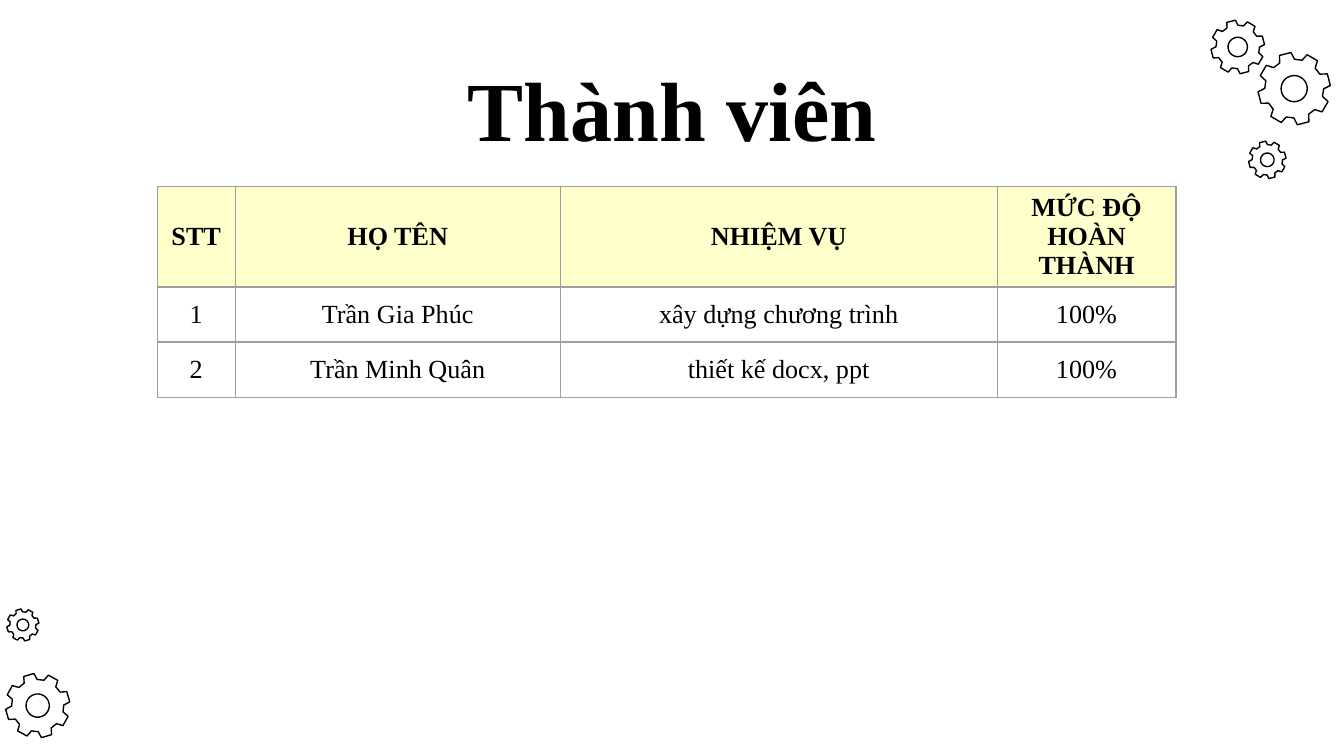
"""Build the team members slide: a title, a task table and gear outlines in two corners."""
from math import cos, radians, sin

from lxml import etree
from pptx import Presentation
from pptx import util as u
from pptx.dml.color import RGBColor
from pptx.enum import text
from pptx.oxml.ns import qn

WIDTH = 10
HEIGHT = WIDTH * 9 / 16
TITLE = "Thành viên"
TITLE_BOX = (0.79, 0.49, 8.42, 0.63)
ROWS = [
    ("STT", "HỌ TÊN", "NHIỆM VỤ", "MỨC ĐỘ HOÀN THÀNH"),
    ("1", "Trần Gia Phúc", "xây dựng chương trình", "100%"),
    ("2", "Trần Minh Quân", "thiết kế docx, ppt", "100%"),
]
TABLE_LEFT, TABLE_TOP = 1.17, 1.39
COLUMN_WIDTHS = (0.58, 2.42, 3.25, 1.33)
ROW_HEIGHT = 0.41
FONT, BLACK, GREY, CREAM = "Times New Roman", "000000", "9E9E9E", "FFFFCC"

# Centre x, centre y, radius, rotation
GEARS = [
    (9.21, 0.35, 0.2, 0),
    (9.43, 1.19, 0.14, 0),
    (9.63, 0.66, 0.27, 0),
    (0.17, 4.65, 0.12, 133.4),
    (0.28, 5.25, 0.24, 133.4),
]
TEETH, FIRST_TOOTH = 8, -14.5
TOOTH = ((-15, 0.81), (-9.5, 1), (9.5, 1), (15, 0.81))
HOLE, HOLE_STEP = 0.36, 10


def color(value):
    return RGBColor.from_string(value)


def format_text(frame, value, size, bold):
    frame.text = value
    frame.word_wrap = True
    paragraph = frame.paragraphs[0]
    paragraph.alignment = text.PP_ALIGN.CENTER
    font = paragraph.runs[0].font
    for name, setting in {"name": FONT, "size": u.Pt(size), "bold": bold}.items():
        setattr(font, name, setting)
    font.color.rgb = color(BLACK)


def add_title(slide):
    title = slide.shapes.title
    for name, value in zip(("left", "top", "width", "height"), TITLE_BOX):
        setattr(title, name, u.Inches(value))
    frame = title.text_frame
    format_text(frame, TITLE, 45, True)
    frame.auto_size = text.MSO_AUTO_SIZE.NONE
    frame.vertical_anchor = text.MSO_ANCHOR.MIDDLE
    for side in ("left", "right", "top", "bottom"):
        setattr(frame, f"margin_{side}", 0)


def add_borders(cell):
    properties = cell._tc.get_or_add_tcPr()
    for side in ("lnL", "lnR", "lnT", "lnB"):
        line = etree.SubElement(properties, qn(f"a:{side}"), w=str(u.Pt(0.75)))
        fill = etree.SubElement(line, qn("a:solidFill"))
        etree.SubElement(fill, qn("a:srgbClr"), val=GREY)


def add_member_table(slide):
    box = (TABLE_LEFT, TABLE_TOP, sum(COLUMN_WIDTHS), ROW_HEIGHT * len(ROWS))
    table = slide.shapes.add_table(len(ROWS), len(COLUMN_WIDTHS), *map(u.Inches, box)).table
    for column, width in zip(table.columns, COLUMN_WIDTHS):
        column.width = u.Inches(width)
    for index, (row, values) in enumerate(zip(table.rows, ROWS)):
        row.height = u.Inches(ROW_HEIGHT)
        is_header = index == 0
        for cell, value in zip(row.cells, values):
            format_text(cell.text_frame, value, 14, is_header)
            cell.vertical_anchor = text.MSO_ANCHOR.MIDDLE
            add_borders(cell)
            if is_header:
                cell.fill.solid()
                cell.fill.fore_color.rgb = color(CREAM)
            else:
                cell.fill.background()


def add_gear(slide, center_x, center_y, radius, rotation):
    def point(angle, share):
        turn = radians(angle)
        return (u.Inches(center_x + radius * share * sin(turn)),
                u.Inches(center_y - radius * share * cos(turn)))

    rim = [point(FIRST_TOOTH + tooth * 360 / TEETH + offset, share)
           for tooth in range(TEETH) for offset, share in TOOTH]
    hole = [point(angle, HOLE) for angle in range(0, 360, HOLE_STEP)]
    builder = slide.shapes.build_freeform(*rim[0])
    builder.add_line_segments(rim[1:], close=True)
    builder.move_to(*hole[0])
    builder.add_line_segments(hole[1:], close=True)
    gear = builder.convert_to_shape()
    gear.rotation = rotation
    gear.shadow.inherit = False
    gear.fill.background()
    gear.line.color.rgb = color(BLACK)
    gear.line.width = u.Pt(0.75)


def main():
    presentation = Presentation()
    presentation.slide_width = u.Inches(WIDTH)
    presentation.slide_height = u.Inches(HEIGHT)
    slide = presentation.slides.add_slide(presentation.slide_layouts[5])
    for gear in GEARS:
        add_gear(slide, *gear)
    add_title(slide)
    add_member_table(slide)
    presentation.save("out.pptx")


if __name__ == "__main__":
    main()
